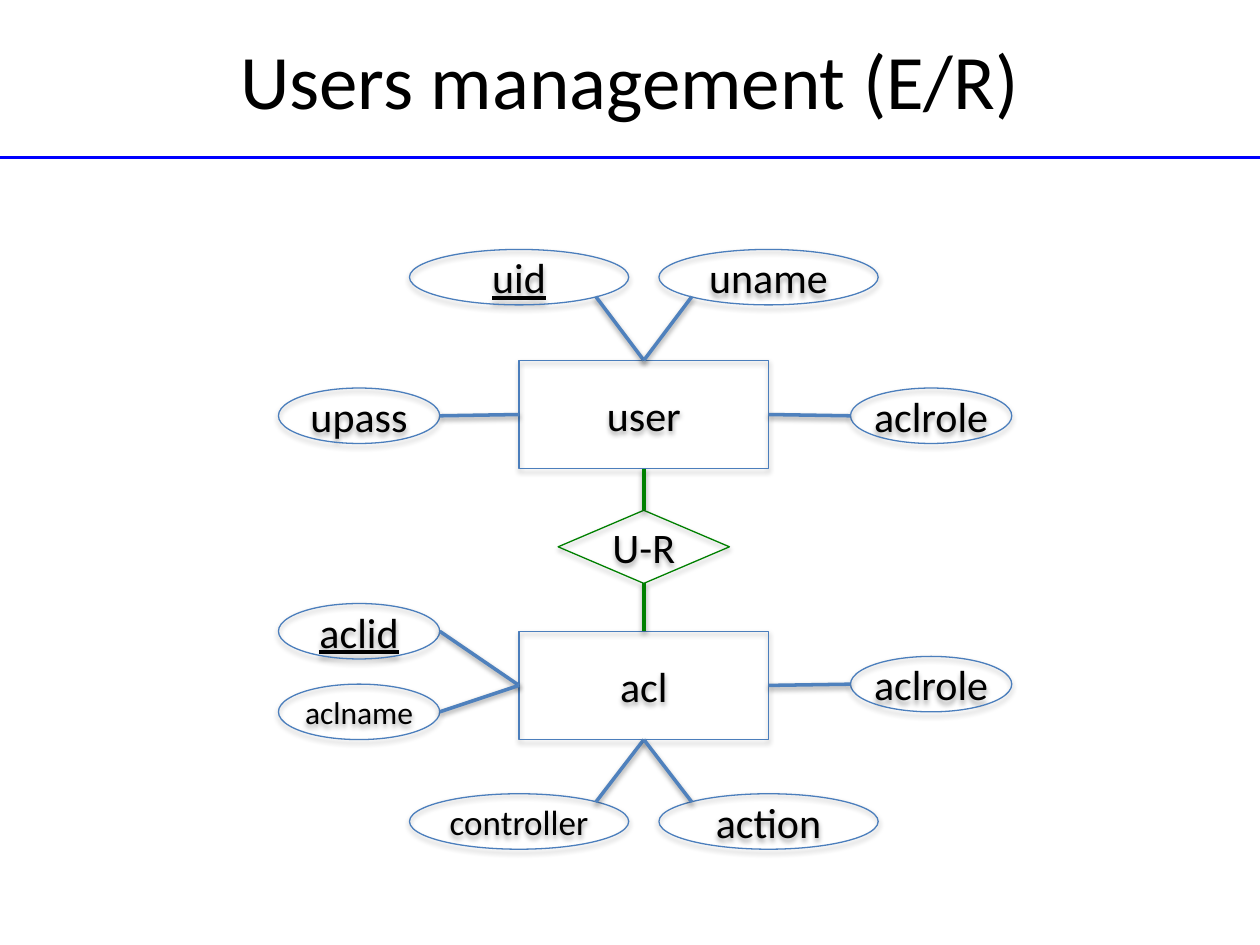
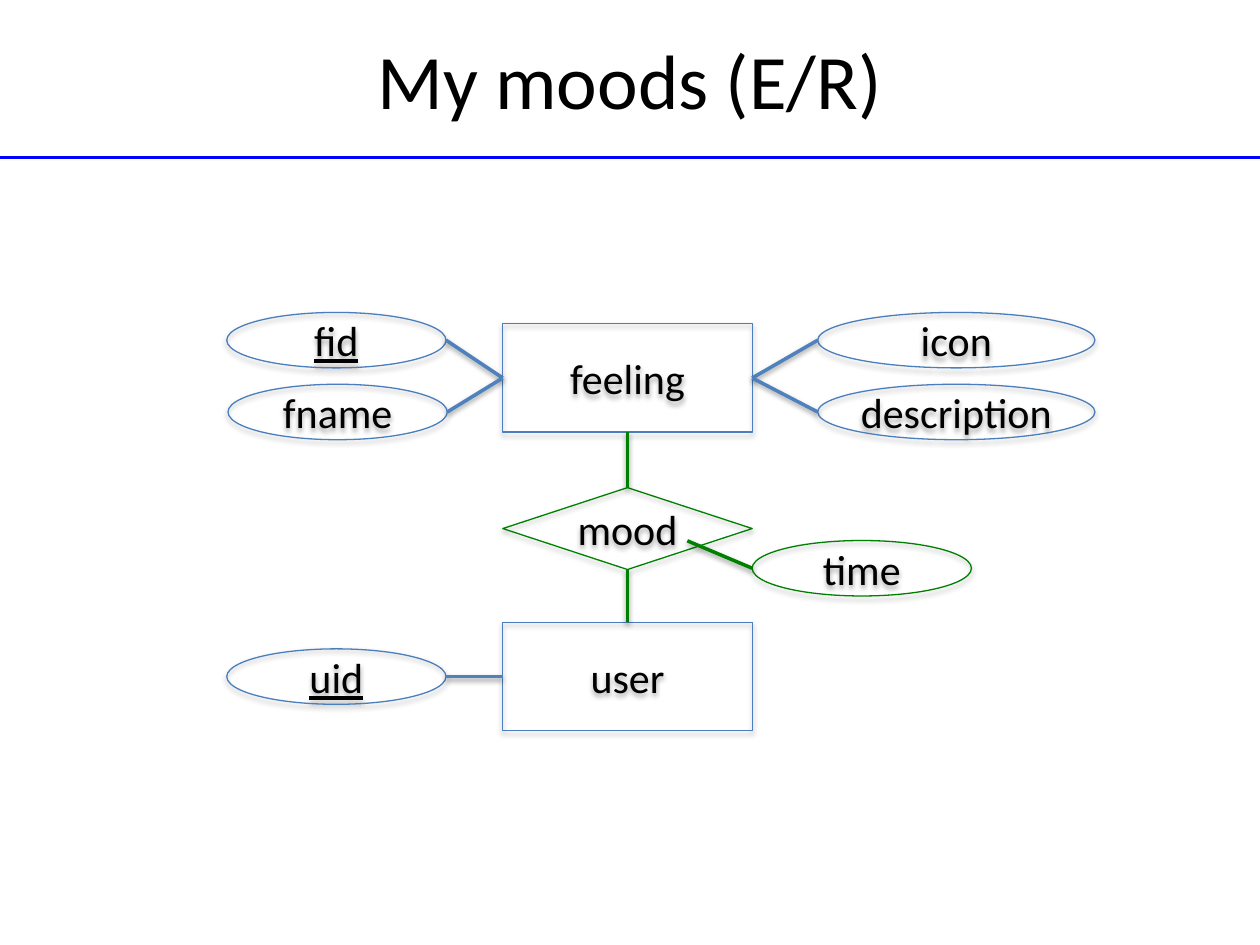
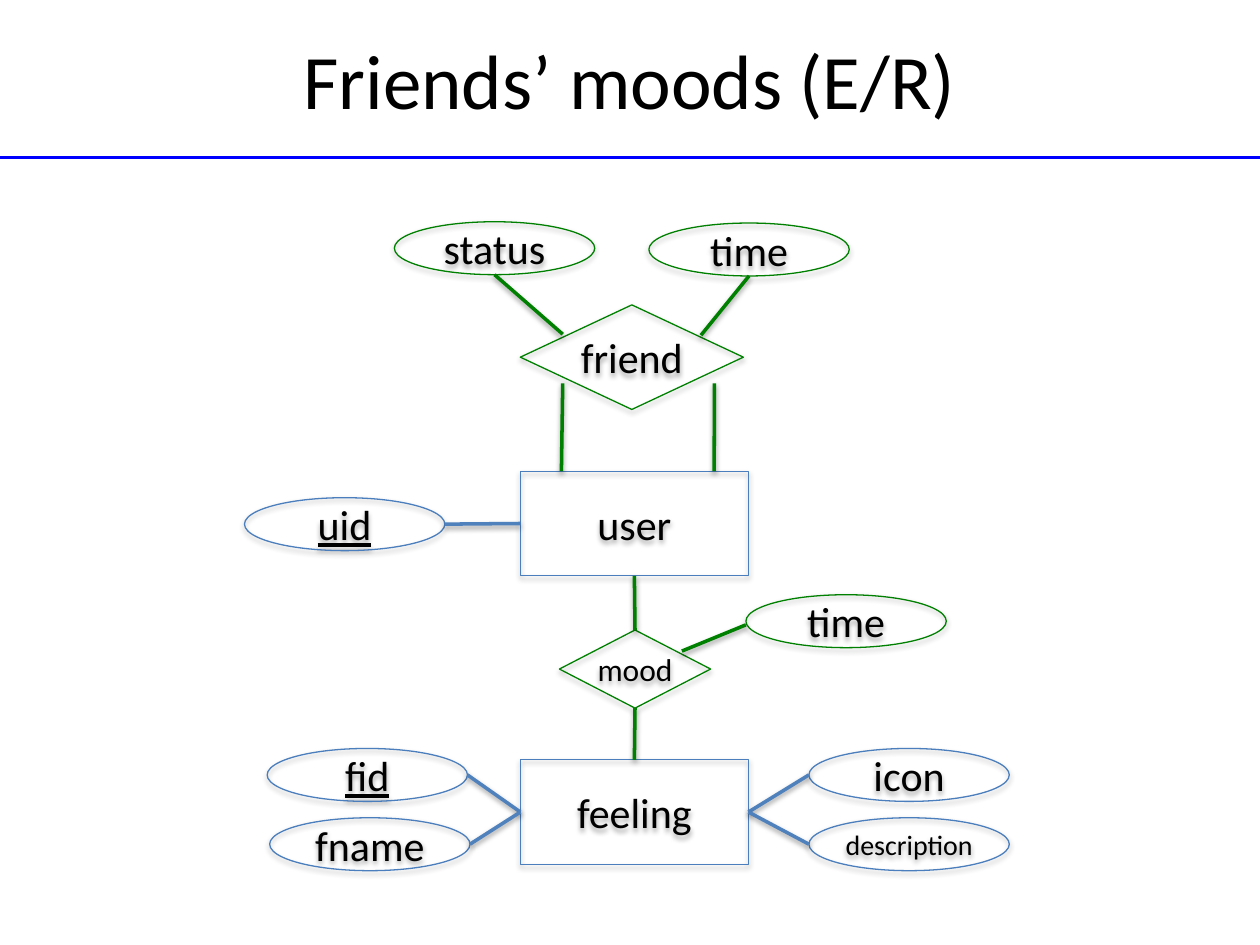
from dataclasses import dataclass
from typing import NamedTuple, Optional

from pptx import Presentation
from pptx.dml.color import RGBColor
from pptx.enum.shapes import MSO_CONNECTOR, MSO_SHAPE
from pptx.enum.text import MSO_ANCHOR, PP_ALIGN
from pptx.oxml import parse_xml
from pptx.oxml.ns import nsdecls
from pptx.slide import Slide
from pptx.text.text import TextFrame
from pptx.util import Inches, Pt


class Shadow(NamedTuple):
    alpha: int
    blur: float
    dist: float


@dataclass(frozen=True)
class Theme:
    font: str = "Calibri"
    ink: str = "000000"
    rule: str = "0000FF"
    outline: str = "4B7EBC"
    link: str = "4F81BD"
    relation: str = "008000"
    title_size: int = 44
    label_size: int = 24
    outline_width: float = 0.75
    link_width: float = 2
    node_shadow: Shadow = Shadow(35, 3.1, 1.8)
    link_shadow: Shadow = Shadow(38, 3.1, 1.6)


THEME = Theme()


class Point(NamedTuple):
    x: float
    y: float


class Size(NamedTuple):
    w: float
    h: float


TOP, BOTTOM = Point(0.5, 0), Point(0.5, 1)
LEFT, RIGHT = Point(0, 0.5), Point(1, 0.5)
TOP_LEFT, TOP_RIGHT = Point(0.15, 0.15), Point(0.85, 0.15)
BOTTOM_LEFT, BOTTOM_RIGHT = Point(0.15, 0.85), Point(0.85, 0.85)


@dataclass(frozen=True)
class Node:
    text: str
    x: float
    y: float
    size: Size
    shape: MSO_SHAPE = MSO_SHAPE.OVAL
    color: str = THEME.outline
    font_size: int = THEME.label_size
    key: bool = False

    def at(self, anchor: Point) -> Point:
        return Point(self.x + anchor.x * self.size.w,
                     self.y + anchor.y * self.size.h)


class Link(NamedTuple):
    start: Node
    start_anchor: Point
    end: Node
    end_anchor: Point
    color: str = THEME.link


def entity(text: str, x: float, y: float, size: Size) -> Node:
    return Node(text, x, y, size, MSO_SHAPE.RECTANGLE)


def relation(text: str, x: float, y: float, size: Size,
             font_size: int = THEME.label_size) -> Node:
    return Node(text, x, y, size, MSO_SHAPE.DIAMOND, THEME.relation, font_size)


def relation_link(start: Node, start_anchor: Point,
                  end: Node, end_anchor: Point) -> Link:
    return Link(start, start_anchor, end, end_anchor, THEME.relation)


def set_shadow(sp, shadow: Optional[Shadow]) -> None:
    effects = ""
    if shadow:
        effects = (
            f'<a:outerShdw blurRad="{Pt(shadow.blur)}" dist="{Pt(shadow.dist)}" '
            f'dir="5400000" rotWithShape="0"><a:srgbClr val="{THEME.ink}">'
            f'<a:alpha val="{shadow.alpha * 1000}"/></a:srgbClr></a:outerShdw>')
    sp.element.spPr.append(
        parse_xml(f'<a:effectLst {nsdecls("a")}>{effects}</a:effectLst>'))


def write_text(tf: TextFrame, text: str, size: int, underline: bool = False) -> None:
    tf.vertical_anchor = MSO_ANCHOR.MIDDLE
    p = tf.paragraphs[0]
    p.text = text
    p.alignment = PP_ALIGN.CENTER
    p.font.name = THEME.font
    p.font.size = Pt(size)
    p.font.color.rgb = RGBColor.from_string(THEME.ink)
    if underline:
        p.font.underline = True


def draw_line(slide: Slide, start: Point, end: Point, color: str,
              shadow: Optional[Shadow] = None) -> None:
    sp = slide.shapes.add_connector(
        MSO_CONNECTOR.STRAIGHT, *(Inches(v) for v in (*start, *end)))
    sp.line.color.rgb = RGBColor.from_string(color)
    sp.line.width = Pt(THEME.link_width)
    set_shadow(sp, shadow)


def draw_node(slide: Slide, node: Node) -> None:
    sp = slide.shapes.add_shape(
        node.shape, *(Inches(v) for v in (node.x, node.y, *node.size)))
    sp.fill.background()
    sp.line.color.rgb = RGBColor.from_string(node.color)
    sp.line.width = Pt(THEME.outline_width)
    set_shadow(sp, THEME.node_shadow)
    tf = sp.text_frame
    tf.word_wrap = False
    tf.margin_left = tf.margin_right = 0
    write_text(tf, node.text, node.font_size, node.key)


def draw_diagram(prs: Presentation, title: str,
                 nodes: list[Node], links: list[Link]) -> None:
    slide = prs.slides.add_slide(prs.slide_layouts[6])
    draw_line(slide, Point(0, 1.25), Point(10, 1.25), THEME.rule)
    box = slide.shapes.add_textbox(Inches(0.5), 0, Inches(9), Inches(1.25))
    box.text_frame.word_wrap = True
    write_text(box.text_frame, title, THEME.title_size)
    for node in nodes:
        draw_node(slide, node)
    for link in links:
        draw_line(slide, link.start.at(link.start_anchor),
                  link.end.at(link.end_anchor), link.color, THEME.link_shadow)


def users_management(prs: Presentation) -> None:
    box, wide, narrow = Size(1.98, 0.86), Size(1.74, 0.44), Size(1.28, 0.44)
    user = entity("user", 4.12, 2.86, box)
    acl = entity("acl", 4.12, 5.01, box)
    user_role = relation("U-R", 4.43, 4.05, Size(1.36, 0.58))
    uid = Node("uid", 3.25, 1.98, wide, key=True)
    uname = Node("uname", 5.23, 1.98, wide)
    upass = Node("upass", 2.21, 3.08, narrow)
    user_aclrole = Node("aclrole", 6.75, 3.08, narrow)
    aclid = Node("aclid", 2.21, 4.79, narrow, key=True)
    aclname = Node("aclname", 2.21, 5.43, narrow, font_size=18)
    acl_aclrole = Node("aclrole", 6.75, 5.21, narrow)
    controller = Node("controller", 3.25, 6.3, wide, font_size=20)
    action = Node("action", 5.23, 6.3, wide)
    draw_diagram(
        prs, "Users management (E/R)",
        [user, acl, user_role, uid, uname, upass, user_aclrole,
         aclid, aclname, acl_aclrole, controller, action],
        [Link(uid, BOTTOM_RIGHT, user, TOP),
         Link(uname, BOTTOM_LEFT, user, TOP),
         Link(user, LEFT, upass, RIGHT),
         Link(user, RIGHT, user_aclrole, LEFT),
         relation_link(user, BOTTOM, user_role, TOP),
         relation_link(user_role, BOTTOM, acl, TOP),
         Link(aclid, RIGHT, acl, LEFT),
         Link(aclname, RIGHT, acl, LEFT),
         Link(acl, RIGHT, acl_aclrole, LEFT),
         Link(controller, TOP_RIGHT, acl, BOTTOM),
         Link(action, TOP_LEFT, acl, BOTTOM)])


def feeling_links(feeling: Node, fid: Node, fname: Node,
                  icon: Node, description: Node) -> list[Link]:
    return [Link(feeling, LEFT, fid, RIGHT),
            Link(feeling, LEFT, fname, RIGHT),
            Link(feeling, RIGHT, icon, LEFT),
            Link(feeling, RIGHT, description, LEFT)]


def my_moods(prs: Presentation) -> None:
    box, oval, long_oval = Size(1.98, 0.86), Size(1.74, 0.44), Size(2.2, 0.44)
    feeling = entity("feeling", 3.99, 2.57, box)
    user = entity("user", 3.99, 4.94, box)
    mood = relation("mood", 3.99, 3.87, Size(1.98, 0.65))
    time = Node("time", 5.97, 4.29, oval, color=THEME.relation)
    uid = Node("uid", 1.8, 5.15, oval, key=True)
    details = [Node("fid", 1.8, 2.48, oval, key=True),
               Node("fname", 1.81, 3.05, oval),
               Node("icon", 6.49, 2.48, long_oval),
               Node("description", 6.49, 3.05, long_oval)]
    draw_diagram(
        prs, "My moods (E/R)",
        [feeling, user, mood, time, uid, *details],
        [*feeling_links(feeling, *details),
         Link(user, LEFT, uid, RIGHT),
         relation_link(mood, Point(0.74, 0.65), time, LEFT),
         relation_link(feeling, BOTTOM, mood, TOP),
         relation_link(mood, BOTTOM, user, TOP)])


def friends_moods(prs: Presentation) -> None:
    box, oval = Size(1.81, 0.83), Size(1.59, 0.42)
    user = entity("user", 4.13, 3.74, box)
    feeling = entity("feeling", 4.13, 6.03, box)
    friend = relation("friend", 4.13, 2.42, Size(1.77, 0.83))
    mood = relation("mood", 4.44, 5, Size(1.2, 0.62), 18)
    status = Node("status", 3.13, 1.76, oval, color=THEME.relation)
    friend_time = Node("time", 5.15, 1.77, oval, color=THEME.relation)
    mood_time = Node("time", 5.92, 4.72, oval, color=THEME.relation)
    uid = Node("uid", 1.94, 3.95, oval, key=True)
    details = [Node("fid", 2.12, 5.94, oval, key=True),
               Node("fname", 2.14, 6.49, oval),
               Node("icon", 6.42, 5.94, oval),
               Node("description", 6.42, 6.49, oval, font_size=16)]
    draw_diagram(
        prs, "Friends’ moods (E/R)",
        [user, feeling, friend, mood, status, friend_time, mood_time, uid, *details],
        [*feeling_links(feeling, *details),
         Link(user, LEFT, uid, RIGHT),
         relation_link(friend, Point(0.19, 0.28), status, BOTTOM),
         relation_link(friend, Point(0.81, 0.29), friend_time, BOTTOM),
         relation_link(user, Point(0.18, 0), friend, Point(0.19, 0.75)),
         relation_link(user, Point(0.85, 0), friend, Point(0.87, 0.75)),
         relation_link(user, BOTTOM, mood, TOP),
         relation_link(mood, Point(0.81, 0.27), mood_time, Point(0, 0.57)),
         relation_link(mood, BOTTOM, feeling, TOP)])


prs = Presentation()
prs.slide_width, prs.slide_height = Inches(10), Inches(7.5)
users_management(prs)
my_moods(prs)
friends_moods(prs)
prs.save("out.pptx")
